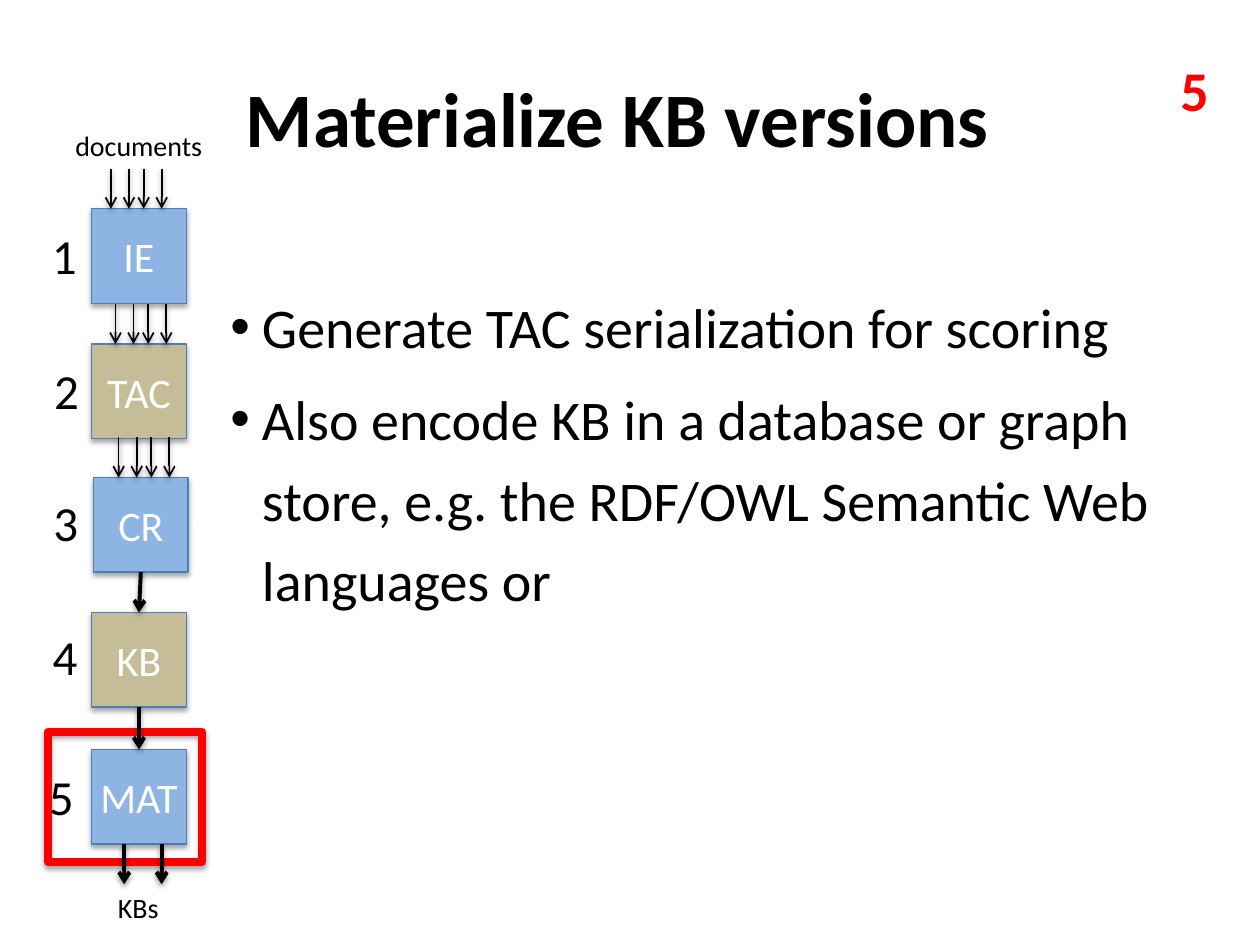
from lxml.etree import SubElement
from pptx import Presentation
from pptx.dml.color import RGBColor
from pptx.enum.shapes import MSO_CONNECTOR, MSO_SHAPE
from pptx.enum.text import MSO_ANCHOR, MSO_AUTO_SIZE, PP_ALIGN
from pptx.oxml import parse_xml
from pptx.oxml.ns import nsdecls, qn
from pptx.util import Pt

BLACK, WHITE, RED = "000000", "FFFFFF", "FF0000"
BLUE, TAN, EDGE = "8EB4E3", "C4BD97", "4B7EBC"


def color(hex_string):
    return RGBColor.from_string(hex_string)


def shadow(alpha, distance, blur=3.1, angle=90):
    return parse_xml(
        f'<a:effectLst {nsdecls("a")}><a:outerShdw blurRad="{Pt(blur)}" '
        f'dist="{Pt(distance)}" dir="{angle * 60000}" rotWithShape="0">'
        f'<a:srgbClr val="{BLACK}"><a:alpha val="{alpha * 1000}"/></a:srgbClr>'
        "</a:outerShdw></a:effectLst>")


def write(paragraph, text, size=16, fill=BLACK, bold=False, align=None,
          font="Calibri", shaded=False):
    run = paragraph.add_run()
    run.text = text
    run.font.size, run.font.bold, run.font.name = Pt(size), bold, font
    run.font.color.rgb = color(fill)
    if align is not None:
        paragraph.alignment = align
    if shaded:
        fill_element = run._r.rPr.find(qn("a:solidFill"))
        fill_element.addnext(shadow(43, 3, blur=4, angle=45))


class SlideBuilder:
    def __init__(self, slide):
        self.slide = slide

    def place(self, item, left, top, width, height):
        item.left, item.top = Pt(left), Pt(top)
        item.width, item.height = Pt(width), Pt(height)

    def title(self, text, *bounds):
        heading = self.slide.shapes.title
        self.place(heading, *bounds)
        heading.text_frame.vertical_anchor = MSO_ANCHOR.MIDDLE
        write(heading.text_frame.paragraphs[0], text, size=44, bold=True,
              align=PP_ALIGN.CENTER)

    def bullets(self, points, *bounds):
        body = self.slide.placeholders[1]
        self.place(body, *bounds)
        frame = body.text_frame
        for index, point in enumerate(points):
            paragraph = frame.add_paragraph() if index else frame.paragraphs[0]
            paragraph.line_spacing = 1.2
            properties = paragraph._p.get_or_add_pPr()
            properties.set("marL", str(Pt(18)))
            properties.set("indent", str(Pt(-18)))
            write(paragraph, point, size=32)

    def label(self, text, left, top, width, height, **style):
        box = self.slide.shapes.add_textbox(
            Pt(left), Pt(top), Pt(width), Pt(height))
        box.text_frame.word_wrap = False
        box.text_frame.auto_size = MSO_AUTO_SIZE.SHAPE_TO_FIT_TEXT
        write(box.text_frame.paragraphs[0], text, **style)

    def rectangle(self, left, top, width, height, line, weight,
                  fill=None, text=None):
        box = self.slide.shapes.add_shape(
            MSO_SHAPE.RECTANGLE, Pt(left), Pt(top), Pt(width), Pt(height))
        if fill:
            box.fill.solid()
            box.fill.fore_color.rgb = color(fill)
        else:
            box.fill.background()
        box.line.color.rgb = color(line)
        box.line.width = Pt(weight)
        box._element.spPr.append(shadow(35, 1.8))
        if text:
            frame = box.text_frame
            frame.margin_left = frame.margin_right = 0
            frame.vertical_anchor = MSO_ANCHOR.MIDDLE
            write(frame.paragraphs[0], text, size=24, fill=WHITE,
                  align=PP_ALIGN.CENTER)

    def arrow(self, x1, y1, x2, y2, weight):
        link = self.slide.shapes.add_connector(
            MSO_CONNECTOR.STRAIGHT, Pt(x1), Pt(y1), Pt(x2), Pt(y2))
        link.line.color.rgb = color(BLACK)
        link.line.width = Pt(weight)
        SubElement(link.line._get_or_add_ln(), qn("a:tailEnd"), type="arrow")
        link._element.spPr.append(shadow(38, 1.6))


def main():
    deck = Presentation()
    deck.slide_width, deck.slide_height = Pt(720), Pt(540)
    page = SlideBuilder(deck.slides.add_slide(deck.slide_layouts[1]))

    # Title, list and step number in the corner
    page.title("Materialize KB versions", 75, 21.5, 556, 90)
    page.bullets([
        "Generate TAC serialization for scoring",
        "Also encode KB in a database or graph store, "
        "e.g. the RDF/OWL Semantic Web languages or",
    ], 124.5, 156, 595.5, 195)
    page.label("5", 667.5, 28.3, 31, 46, size=32, fill=RED, bold=True)

    # Frame around the current stage
    page.rectangle(27.3, 418.2, 88.3, 74.3, line=RED, weight=4.5)

    # Pipeline stages: name, fill, left, top
    side = 54
    stages = [
        ("IE", BLUE, 52.4, 119.3),
        ("TAC", TAN, 52.4, 196.6),
        ("CR", BLUE, 53.5, 272.9),
        ("KB", TAN, 52.4, 350),
        ("MAT", BLUE, 52.4, 428.3),
    ]
    for name, fill, left, top in stages:
        page.rectangle(left, top, side, side, EDGE, 0.75, fill, name)

    # Single flows between the later stages, and the two outputs
    for (_, _, left, top), (_, _, next_left, next_top) in zip(
            stages[2:], stages[3:]):
        page.arrow(left + side / 2, top + side,
                   next_left + side / 2, next_top, 2.25)
    run_length = 23
    output_top = stages[-1][3] + side
    for x in (71, 92.4):
        page.arrow(x, output_top, x, output_top + run_length, 2.25)

    # Fourfold flows into the first three stages
    for x, (_, _, _, top) in zip((63.4, 66, 67.8), stages):
        for offset in (0, 10.3, 18.7, 29):
            page.arrow(x + offset, top - run_length, x + offset, top, 1)

    # Input, output and stage numbers
    page.label("documents", 36, 69.8, 88.5, 26.6)
    page.label("KBs", 60.3, 505.4, 38.3, 26.6)
    number_places = [(22.6, 125.3), (23.9, 202.7), (23.4, 277.9),
                     (23, 354.5), (20.9, 434.2)]
    for number, (left, top) in enumerate(number_places, start=1):
        page.label(str(number), left, top, 28.8, 41, size=28, shaded=True)

    deck.save("out.pptx")


if __name__ == "__main__":
    main()
